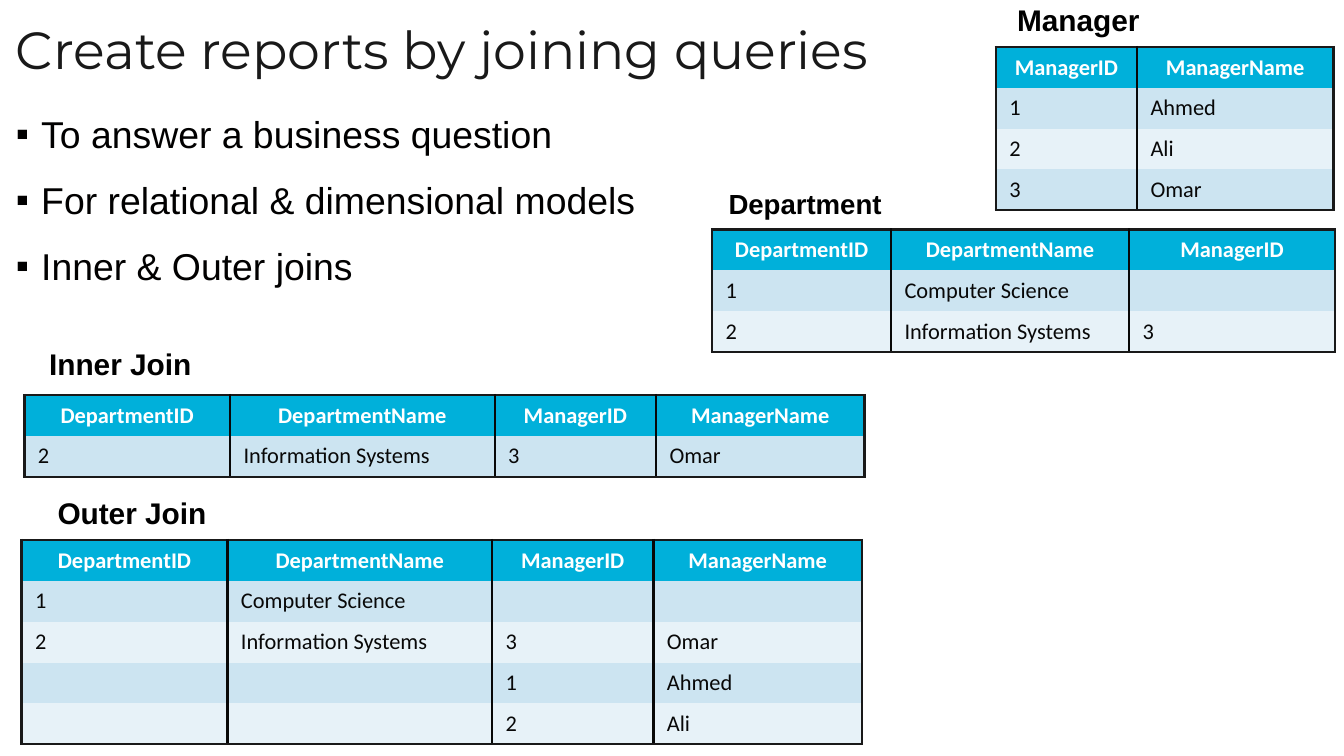
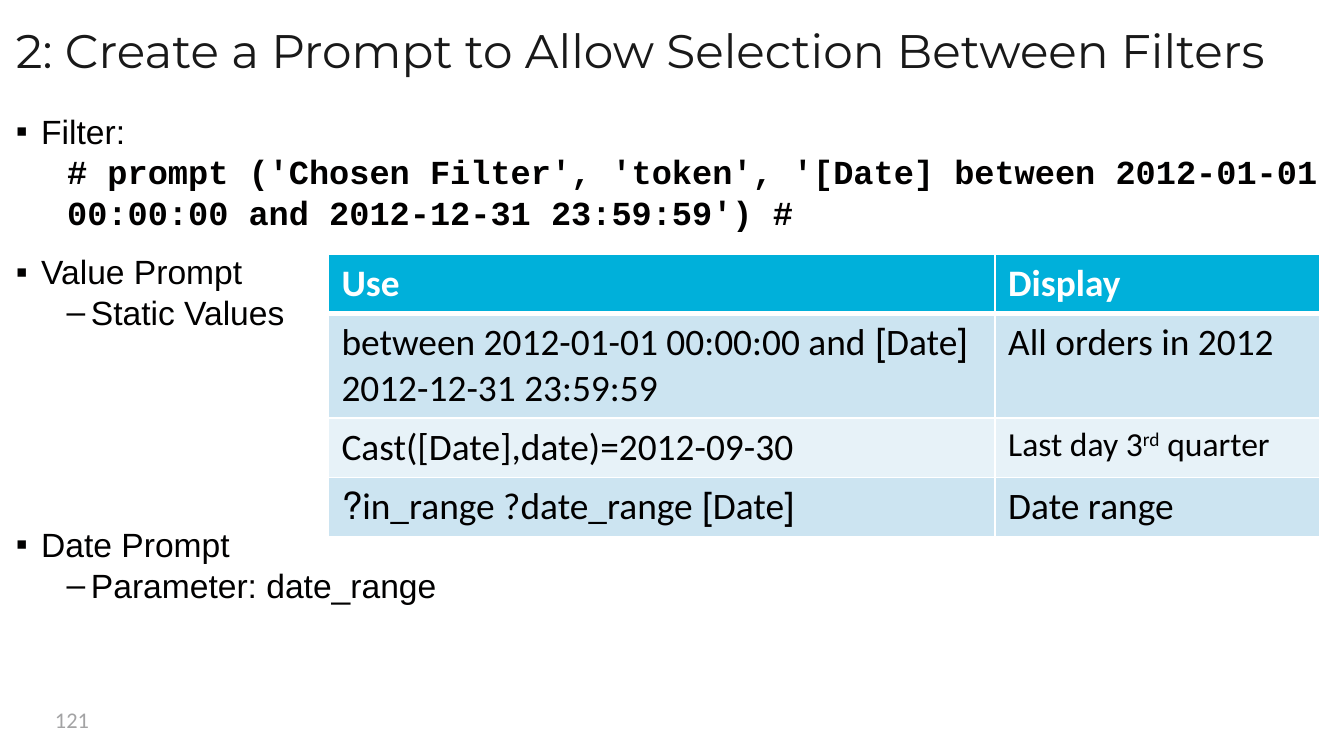
"""Build two slides about joining queries and prompting for filters."""
from lxml.etree import SubElement
from pptx import Presentation
from pptx.dml.color import RGBColor
from pptx.enum.text import MSO_ANCHOR, MSO_AUTO_SIZE, PP_ALIGN
from pptx.oxml.ns import qn
from pptx.util import Cm, Pt

COLORS = {"title": "191919", "body": "010000", "caption": "000000", "cell": "080808",
          "edge": "191919", "divider": "080808", "white": "FFFFFF", "number": "A3A3A4",
          "header": "00B0DA", "odd": "CCE4F1", "even": "E7F2F8"}
WIDTH, HEIGHT, TITLE_HEIGHT = 25.4, 14.29, 2.0

JOIN_HEADER = ["DepartmentID", "DepartmentName", "ManagerID", "ManagerName"]
JOIN_WIDTHS = [3.89, 5.0, 3.05, 3.94]
JOIN_TABLES = [
    dict(caption="Inner Join", size=16, width=3.63, rise=1.07, left=0.46, top=7.47,
         widths=JOIN_WIDTHS,
         rows=[JOIN_HEADER, ["2", "Information Systems", "3", "Omar"]]),
    dict(caption="Outer Join", size=16, width=4.17, rise=0.99, left=0.41, top=10.21,
         widths=JOIN_WIDTHS,
         rows=[JOIN_HEADER, ["1", "Computer Science", "", ""],
               ["2", "Information Systems", "3", "Omar"],
               ["", "", "1", "Ahmed"], ["", "", "2", "Ali"]]),
    dict(caption="Manager", size=16, width=3.12, rise=0.99, left=18.82, top=0.89,
         widths=[2.67, 3.71],
         rows=[["ManagerID", "ManagerName"], ["1", "Ahmed"], ["2", "Ali"], ["3", "Omar"]]),
    dict(caption="Department", size=14.8, width=3.51, rise=0.94, left=13.46, top=4.34,
         widths=[3.38, 4.5, 3.89],
         rows=[["DepartmentID", "DepartmentName", "ManagerID"],
               ["1", "Computer Science", ""], ["2", "Information Systems", "3"]]),
]
JOIN_BULLETS = [("bullet", "To answer a business question", 0),
                ("bullet", "For relational & dimensional models", 11.5),
                ("bullet", "Inner & Outer joins", 11.5)]

PROMPT_BULLETS = [
    ("bullet", "Filter:", 0),
    ("code", "# prompt ('Chosen Filter', 'token', '[Date] between 2012-01-01 00:00:00 "
             "and 2012-12-31 23:59:59') #", 0),
    ("bullet", "Value Prompt", 10.35),
    ("dash", "Static Values", 0),
    ("bullet", "Date Prompt", 103),
    ("dash", "Parameter: date_range", 0),
]
PROMPT_ROWS = [
    ["Use", "Display"],
    ["[Date] between 2012-01-01 00:00:00 and 2012-12-31 23:59:59", "All orders in 2012"],
    ["Cast([Date],date)=2012-09-30", [("Last day 3", 0), ("rd", 30000), (" quarter", 0)]],
    ["[Date] in_range ?date_range?", "Date range"],
]
LEVELS = {"bullet": dict(level=0, margin=0.48, indent=-0.48, bullet="▪"),
          "code": dict(level=1, margin=0.97, indent=0, font="Courier New", bold=True),
          "dash": dict(level=1, margin=1.42, indent=-0.46, bullet="–")}


def rgb(name):
    return RGBColor.from_string(COLORS[name])


def write(p, text, font="Arial", size=18, color="body", bold=False, align=PP_ALIGN.LEFT,
          before=0, spacing=None, level=0, margin=None, indent=0, bullet=None, rtl=False):
    pPr = p._p.get_or_add_pPr()
    p.alignment, p.level, p.space_before = align, level, Pt(before)
    if spacing:
        p.line_spacing = spacing
    if margin is not None:
        pPr.set("marL", str(Cm(margin)))
        pPr.set("indent", str(Cm(indent)))
    if rtl:
        pPr.set("rtl", "1")
    if bullet:
        SubElement(pPr, qn("a:buFont"), typeface="Arial")
        SubElement(pPr, qn("a:buChar"), char=bullet)
    if not text:
        SubElement(p._p, qn("a:endParaRPr"), sz=str(int(size * 100)))
        return
    for part, baseline in [(text, 0)] if isinstance(text, str) else text:
        r = p.add_run()
        r.text = part
        r.font.name, r.font.size, r.font.bold = font, Pt(size), bold
        r.font.color.rgb = rgb(color)
        if baseline:
            r.font._element.set("baseline", str(baseline))


def set_frame(tf, anchor=MSO_ANCHOR.TOP, side=0.25, ends=0.13):
    tf.word_wrap, tf.auto_size, tf.vertical_anchor = True, MSO_AUTO_SIZE.NONE, anchor
    tf.margin_left = tf.margin_right = Cm(side)
    tf.margin_top = tf.margin_bottom = Cm(ends)


def add_text(s, box, text, anchor=MSO_ANCHOR.TOP, **fmt):
    tf = s.shapes.add_textbox(*map(Cm, box)).text_frame
    set_frame(tf, anchor)
    write(tf.paragraphs[0], text, **fmt)


def add_slide(prs, title, title_size, bullets, bullet_size):
    s = prs.slides.add_slide(prs.slide_layouts[5])
    sp = s.shapes.title
    sp.left, sp.top, sp.width, sp.height = map(Cm, (0, 0, WIDTH, TITLE_HEIGHT))
    set_frame(sp.text_frame, MSO_ANCHOR.MIDDLE, side=0.3)
    write(sp.text_frame.paragraphs[0], title, font="Montserrat", size=title_size,
          color="title", spacing=0.9)
    tf = s.shapes.add_textbox(*map(Cm, (0, TITLE_HEIGHT, WIDTH, 11.25))).text_frame
    set_frame(tf, side=0.3, ends=0.1)
    for i, (kind, text, before) in enumerate(bullets):
        p = tf.add_paragraph() if i else tf.paragraphs[0]
        write(p, text, size=bullet_size, before=before, **LEVELS[kind])
    return s


def set_borders(cell, borders):
    tcPr = cell._tc.get_or_add_tcPr()
    for side, border in zip("LRTB", borders):
        color, width = border or (None, 0)
        ln = SubElement(tcPr, qn(f"a:ln{side}"), w=str(Pt(width)))
        if color:
            fill = SubElement(ln, qn("a:solidFill"))
            SubElement(fill, qn("a:srgbClr"), val=COLORS[color])
        else:
            SubElement(ln, qn("a:noFill"))


def framed(row, col, last_row, last_col):
    edge, divider = ("edge", 1.5), ("divider", 1.5)
    return (divider if col else edge, edge if col == last_col else divider,
            None if row else edge, edge if row == last_row else None)


def white_grid(row, col, last_row, last_col):
    thin, thick = ("white", 1), ("white", 3)
    return thin, thin, thick if row == 1 else thin, thin if row else thick


def add_grid(s, left, top, widths, heights, rows, borders, head_align=PP_ALIGN.LEFT,
             color="cell", **fmt):
    table = s.shapes.add_table(len(rows), len(widths), Cm(left), Cm(top),
                               Cm(sum(widths)), Cm(sum(heights))).table
    for col, width in zip(table.columns, widths):
        col.width = Cm(width)
    for i, (row, height) in enumerate(zip(rows, heights)):
        table.rows[i].height = Cm(height)
        for j, text in enumerate(row):
            cell = table.cell(i, j)
            set_borders(cell, borders(i, j, len(rows) - 1, len(widths) - 1))
            cell.fill.solid()
            cell.fill.fore_color.rgb = rgb(("odd" if i % 2 else "even") if i else "header")
            look = (dict(color=color) if i else
                    dict(color="white", bold=True, align=head_align))
            if not isinstance(text, str):
                look["size"] = 18
            write(cell.text_frame.paragraphs[0], text, **{**fmt, **look}, font="Calibri")


def build_joins(prs):
    s = add_slide(prs, "Create reports by joining queries", 28, JOIN_BULLETS, 20)
    for t in JOIN_TABLES:
        add_grid(s, t["left"], t["top"], t["widths"], [0.77] * len(t["rows"]), t["rows"],
                 framed, head_align=PP_ALIGN.CENTER, size=12)
        add_text(s, (t["left"], t["top"] - t["rise"], t["width"], 0.99), t["caption"],
                 size=t["size"], color="caption", bold=True, align=PP_ALIGN.CENTER)


def build_prompt(prs):
    s = add_slide(prs, "2: Create a Prompt to Allow Selection Between Filters", 25.2,
                  PROMPT_BULLETS, 18)
    add_text(s, (0.79, 13.23, 5.92, 0.76), "121", anchor=MSO_ANCHOR.MIDDLE,
             font="Calibri", size=12, color="number")
    add_grid(s, 6.2, 4.8, [12.6, 6.15], [1.12, 1.97, 1.12, 1.12], PROMPT_ROWS, white_grid,
             color="body", size=20, rtl=True)


def main():
    prs = Presentation()
    prs.slide_width, prs.slide_height = Cm(WIDTH), Cm(HEIGHT)
    build_joins(prs)
    build_prompt(prs)
    prs.save("out.pptx")


if __name__ == "__main__":
    main()
